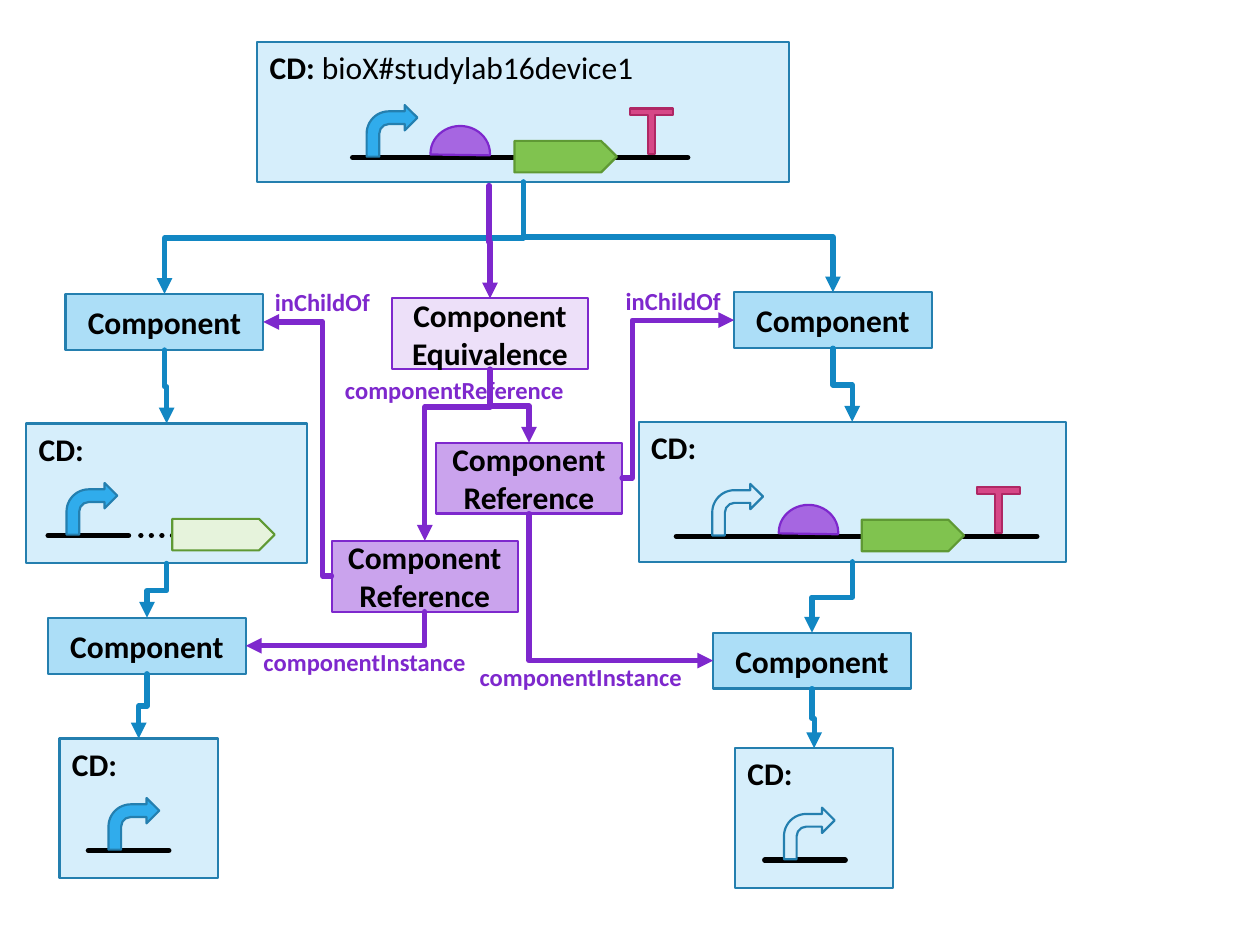
"""Build a slide that maps a genetic device to its components and their equivalence."""
from lxml import etree
from pptx import Presentation
from pptx.dml.color import RGBColor
from pptx.enum.dml import MSO_LINE
from pptx.enum.shapes import MSO_CONNECTOR, MSO_SHAPE
from pptx.enum.text import MSO_ANCHOR, MSO_AUTO_SIZE, PP_ALIGN
from pptx.oxml.ns import qn
from pptx.util import Pt

RECT = MSO_SHAPE.RECTANGLE
STRAIGHT, ELBOW = MSO_CONNECTOR.STRAIGHT, MSO_CONNECTOR.ELBOW
TOP, LEFT, BOTTOM, RIGHT = range(4)
COLORS = {
    "black": "000000", "pale blue": "D6EEFB", "light blue": "ACDEF7", "blue": "30ACEC",
    "blue edge": "247FAF", "arrow blue": "1287C3", "pale purple": "EDE0F9",
    "light purple": "CAA3ED", "purple": "A666E1", "purple edge": "7E28CD",
    "pale green": "E6F3DC", "green": "80C34F", "green edge": "5F9934",
    "pink": "D64787", "pink edge": "AF2764",
}
RGB = {name: RGBColor.from_string(value) for name, value in COLORS.items()}

prs = Presentation()
prs.slide_width, prs.slide_height = Pt(720), Pt(540)
s = prs.slides.add_slide(prs.slide_layouts[6])


def add_shape(kind, x, y, w, h, fill, edge, lines=(), align=PP_ALIGN.CENTER):
    """Add a filled shape with optional bold lines of text."""
    sp = s.shapes.add_shape(kind, Pt(x), Pt(y), Pt(w), Pt(h))
    sp.shadow.inherit = False
    sp.fill.solid()
    sp.fill.fore_color.rgb = RGB[fill]
    sp.line.color.rgb = RGB[edge]
    sp.line.width = Pt(1.25)
    tf = sp.text_frame
    for i, line in enumerate(lines):
        p = tf.add_paragraph() if i else tf.paragraphs[0]
        p.alignment = align
        p.font.name, p.font.size, p.font.bold = "Calibri", Pt(18), True
        p.font.color.rgb = RGB["black"]
        p.add_run().text = line
    return sp


def style_line(c, color, arrow=False):
    """Give a connector its colour, weight, round cap and arrowhead."""
    c.line.color.rgb = RGB[color]
    c.line.width = Pt(3)
    props = c._element.spPr
    ln = props.find(qn("a:ln"))
    ln.set("cap", "rnd")
    if arrow:
        etree.SubElement(ln, qn("a:tailEnd")).set("type", "triangle")
    etree.SubElement(props, qn("a:effectLst"))


glyphs = {
    "promoter": (MSO_SHAPE.BENT_ARROW, -30, 29, 29.5, "blue", "blue edge"),
    "open promoter": (MSO_SHAPE.BENT_ARROW, -30, 29, 29.5, "pale blue", "blue edge"),
    "rbs": (MSO_SHAPE.CHORD, -18, 34, 31.5, "purple", "purple edge"),
    "cds": (MSO_SHAPE.PENTAGON, -9.5, 58.5, 18, "green", "green edge"),
    "open cds": (MSO_SHAPE.PENTAGON, -9.5, 58.5, 18, "pale green", "green edge"),
    "terminator": (MSO_SHAPE.LEFT_RIGHT_UP_ARROW, -28, 24.5, 26, "pink", "pink edge"),
}
adjustments = {"rbs": (106.9, 2.15), "terminator": (0.18, 0.08, 0)}

definitions = {
    "device": (147, 24, 304, 90, [(201.5, 393)],
               {"rbs": 246, "terminator": 360, "promoter": 209.5, "cds": 294}),
    "left": (15, 242, 160.5, 306, [(27.5, 73.5), (80.5, 126.5)],
             {"promoter": 38, "open cds": 98.5}),
    "right": (365, 241, 244, 306.5, [(386.5, 592.5)],
              {"rbs": 445, "cds": 492.5, "terminator": 558.5, "open promoter": 407}),
    "left part": (34, 422, 90.5, 486, [(50.5, 96.5)], {"promoter": 62}),
    "right part": (420, 427.5, 90.5, 491.5, [(437, 483)], {"open promoter": 448}),
}
boxes = {}
for name, (x, y, w, base, strands, parts) in definitions.items():
    text = "CD: " if name == "device" else "CD:"
    sp = add_shape(RECT, x, y, w, 80, "pale blue", "blue edge", [text], PP_ALIGN.LEFT)
    sp.text_frame.vertical_anchor = MSO_ANCHOR.TOP
    boxes[name] = sp
    for i, (start, end) in enumerate(strands):
        c = s.shapes.add_connector(STRAIGHT, Pt(start), Pt(base), Pt(end), Pt(base))
        style_line(c, "black")
        if i:
            c.line.dash_style = MSO_LINE.ROUND_DOT
    for part, part_x in parts.items():
        kind, dy, part_w, part_h, fill, edge = glyphs[part]
        sp = add_shape(kind, part_x, base + dy, part_w, part_h, fill, edge)
        for i, value in enumerate(adjustments.get(part, ())):
            sp.adjustments[i] = value
        if part == "terminator":
            sp.rotation = 180

r = boxes["device"].text_frame.paragraphs[0].add_run()
r.text = "bioX#studylab16device1"
r.font.bold = False

for name, x, y in [("left component", 37.5, 168), ("right component", 419.5, 167),
                   ("left instance", 27.5, 353), ("right instance", 407.5, 361.5)]:
    boxes[name] = add_shape(RECT, x, y, 113, 32, "light blue", "blue edge", ["Component"])
for name, x, y, w, fill, word in [
    ("equivalence", 224, 170.5, 112, "pale purple", "Equivalence"),
    ("right reference", 249, 253, 106.5, "light purple", "Reference"),
    ("left reference", 189.5, 309, 106.5, "light purple", "Reference"),
]:
    boxes[name] = add_shape(RECT, x, y, w, 40.5, fill, "purple edge", ["Component", word])
for name in boxes:
    if name not in definitions:
        boxes[name].text_frame.vertical_anchor = MSO_ANCHOR.MIDDLE

links = [
    ("device", BOTTOM, "left component", TOP, "arrow blue", 0.5),
    ("device", BOTTOM, "right component", TOP, "arrow blue", 0.5),
    ("left component", BOTTOM, "left", TOP, "arrow blue", 0.5),
    ("right component", BOTTOM, "right", TOP, "arrow blue", 0.5),
    ("left", BOTTOM, "left instance", TOP, "arrow blue", 0.5),
    ("right", BOTTOM, "right instance", TOP, "arrow blue", 0.5),
    ("left instance", BOTTOM, "left part", TOP, "arrow blue", 0.5),
    ("right instance", BOTTOM, "right part", TOP, "arrow blue", 0.5),
    (None, BOTTOM, "equivalence", TOP, "purple edge", 0.5),
    ("equivalence", BOTTOM, "left reference", TOP, "purple edge", 0.22),
    ("equivalence", BOTTOM, "right reference", TOP, "purple edge", 0.5),
    ("left reference", LEFT, "left component", RIGHT, "purple edge", 0.13),
    ("right reference", RIGHT, "right component", LEFT, "purple edge", 0.09),
    ("left reference", BOTTOM, "left instance", RIGHT, "purple edge", None),
    ("right reference", BOTTOM, "right instance", LEFT, "purple edge", None),
]
for source, start, target, end, color, bend in links:
    c = s.shapes.add_connector(ELBOW, Pt(279.5), Pt(106), Pt(280), Pt(170))
    if source:
        c.begin_connect(boxes[source], start)
    c.end_connect(boxes[target], end)
    props = c._element.spPr
    if start == BOTTOM:
        x1, y1, x2, y2 = c.begin_x, c.begin_y, c.end_x, c.end_y
        dx, dy = abs(x2 - x1), abs(y2 - y1)
        c.left, c.top = (x1 + x2 - dy) // 2, (y1 + y2 - dx) // 2
        c.width, c.height = dy, dx
        xfrm = props.find(qn("a:xfrm"))
        xfrm.set("flipH", "1" if x2 > x1 else "0")
        xfrm.set("flipV", "0")
        xfrm.set("rot", str((270 if x2 > x1 else 90) * 60000))
    geom = props.find(qn("a:prstGeom"))
    if bend is None:
        geom.set("prst", "bentConnector2")
    elif bend != 0.5:
        gd = etree.SubElement(geom.find(qn("a:avLst")), qn("a:gd"))
        gd.set("name", "adj1")
        gd.set("fmla", f"val {round(bend * 100000)}")
    style_line(c, color, arrow=True)

for text, x, y, w in [
    ("inChildOf", 350.5, 160, 72), ("inChildOf", 150, 160.5, 72),
    ("componentReference", 190, 211, 145.5),
    ("componentInstance", 267, 375, 136), ("componentInstance", 143.5, 366, 136),
]:
    tf = s.shapes.add_textbox(Pt(x), Pt(y), Pt(w), Pt(24.5)).text_frame
    tf.word_wrap = False
    tf.auto_size = MSO_AUTO_SIZE.SHAPE_TO_FIT_TEXT
    p = tf.paragraphs[0]
    p.text = text
    p.font.name, p.font.size, p.font.bold = "Calibri", Pt(14), True
    p.font.color.rgb = RGB["purple edge"]

prs.save("out.pptx")
